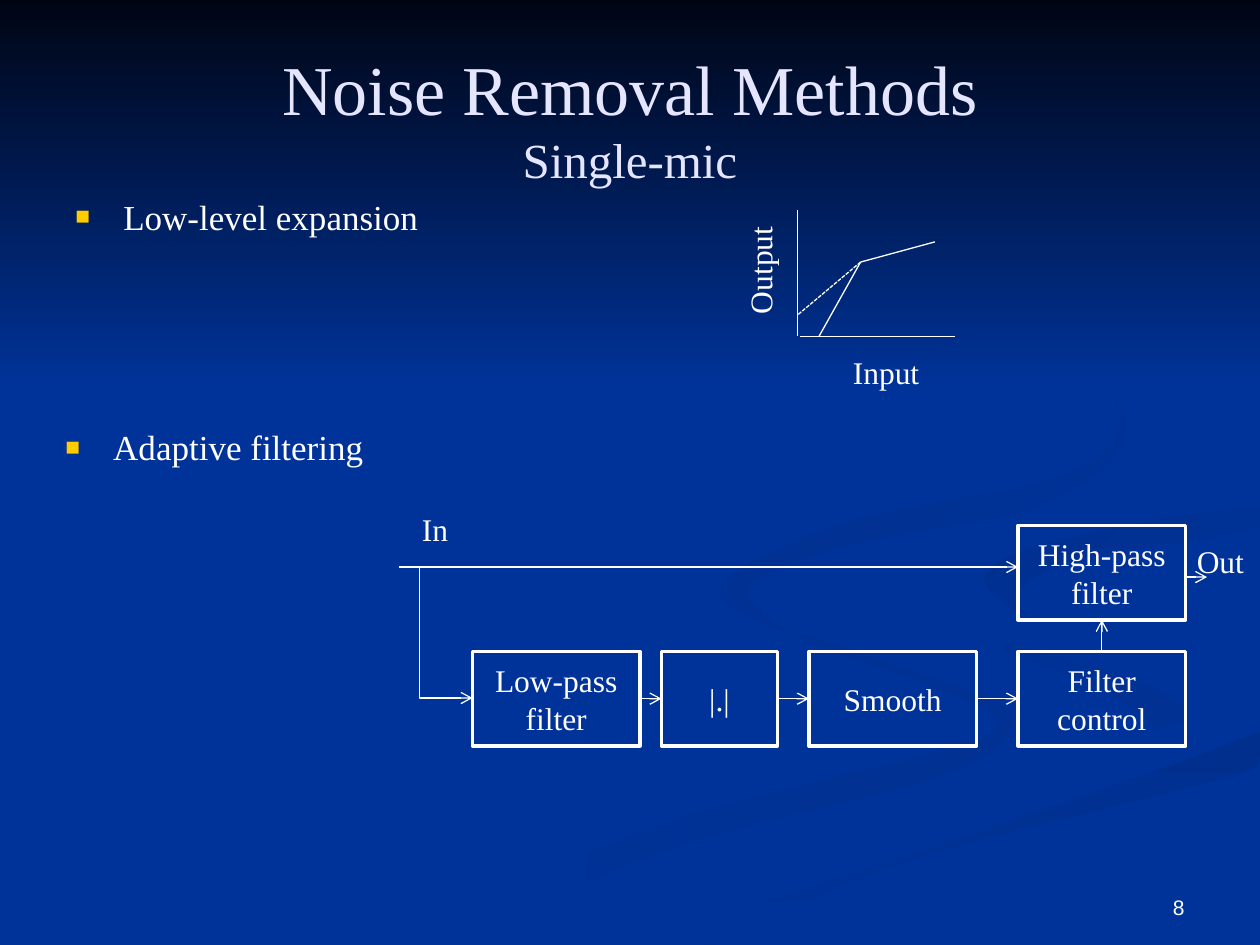
from dataclasses import dataclass

from lxml import etree
from pptx import Presentation
from pptx import util as u
from pptx.dml.color import RGBColor
from pptx.enum import dml, shapes, text
from pptx.oxml.ns import qn

Inches = u.Inches


@dataclass(frozen=True)
class Theme:
    blue: str = "003399"
    shade: str = "002F8E"
    haze: str = "003193"
    night: str = "000514"
    white: str = "FFFFFF"
    lavender: str = "E5E5FF"
    gold: str = "FFCC00"
    serif: str = "Times New Roman"
    sans: str = "Arial"
    title: int = 40
    subtitle: int = 28
    body: int = 20
    label: int = 18
    number: int = 12
    thin: float = 0.75
    frame: float = 2


@dataclass(frozen=True)
class Box:
    left: float
    top: float
    width: float
    height: float

    def inner(self, x, y, width, height):
        return Box(self.left + x, self.top + y, width, height)

    def point(self, x, y):
        return Inches(self.left + x), Inches(self.top + y)

    def frame(self):
        return [Inches(v) for v in (self.left, self.top, self.width, self.height)]


THEME = Theme()

# Each ribbon: gradient start, gradient end, clockwise angle, outline knots in inches.
RIBBONS = [
    (THEME.blue, THEME.haze, 0, [
        (7.81, 5.53), (6.02, 4.9), (5.75, 4.59), (5.76, 4.8), (6.31, 5.05), (7.86, 5.66),
        (7.39, 5.98), (5.39, 6.49), (3, 7.49), (3.61, 7.49), (5.32, 6.74), (7.4, 6.18), (8, 5.81)]),
    (THEME.blue, THEME.haze, 45, [
        (9.43, 5.7), (8.88, 5.35), (7.58, 4.98), (7.24, 4.64), (7.46, 5), (8.68, 5.44),
        (9.18, 5.81), (8.94, 6.05)]),
    (THEME.shade, THEME.blue, 90, [
        (5.03, 7.49), (5.71, 7.49), (7.22, 6.82), (9.98, 6.09), (9.98, 5.81), (7.64, 6.47), (5.99, 7.06)]),
    (THEME.blue, THEME.blue, 0, [
        (7.25, 4.64), (9.05, 5.4), (9.43, 5.7), (6.63, 6.68), (4.77, 7.49), (5.03, 7.49),
        (9.99, 5.81), (9.99, 5.38), (7.81, 4.63), (9.99, 4.02), (9.99, 3.87), (7.88, 4.22)]),
    (THEME.shade, THEME.blue, 45, [
        (7.81, 4.6), (8.26, 4.96), (8.05, 4.72), (8.59, 4.43), (9.98, 4.2), (9.98, 4.02), (8.35, 4.3)]),
    (THEME.shade, THEME.blue, 45, [
        (6.83, 4.3), (8.25, 4.02), (8.94, 3.44), (8.54, 2.83), (7.62, 2.33), (8.62, 2.92),
        (8.89, 3.35), (8.42, 3.78), (6.76, 4.14), (5.77, 4.62), (6.22, 5), (5.94, 4.65)]),
]


def rgb(value):
    return RGBColor.from_string(value)


def add_span(para, words, size, color=THEME.white, font=THEME.serif):
    span = para.add_run()
    span.text = words
    span.font.size, span.font.name = u.Pt(size), font
    span.font.color.rgb = rgb(color)


def add_text(page, box, words, size=THEME.label, wrap=False, align=text.PP_ALIGN.LEFT,
             anchor=text.MSO_ANCHOR.TOP, **style):
    holder = page.shapes.add_textbox(*box.frame())
    holder.text_frame.word_wrap = wrap
    holder.text_frame.vertical_anchor = anchor
    para = holder.text_frame.paragraphs[0]
    para.alignment = align
    add_span(para, words, size, **style)
    return holder


def add_line(page, start, end, arrow=False, kind=shapes.MSO_CONNECTOR.STRAIGHT):
    line = page.shapes.add_connector(kind, *start, *end)
    line.line.color.rgb = rgb(THEME.white)
    line.line.width = u.Pt(THEME.thin)
    if arrow:
        etree.SubElement(line.line._get_or_add_ln(), qn("a:tailEnd"), type="arrow")
    etree.SubElement(line._element.spPr, qn("a:effectLst"))
    return line


def smooth_outline(knots, steps=6):
    """Closed Catmull-Rom curve through the knots."""
    curve = []
    for i in range(len(knots)):
        around = [knots[(i + k) % len(knots)] for k in (-1, 0, 1, 2)]
        for t in (step / steps for step in range(steps)):
            curve.append(tuple(
                b + t * (c - a + t * (2 * a - 5 * b + 4 * c - d + t * (3 * b - a - 3 * c + d))) / 2
                for a, b, c, d in zip(*around)))
    return curve


def paint_gradient(shape, first, last, angle):
    shape.shadow.inherit = False
    shape.line.fill.background()
    shape.fill.gradient()
    shape.fill.gradient_angle = (360 - angle) % 360
    for stop, color in zip(shape.fill.gradient_stops, (first, last)):
        stop.color.rgb = rgb(color)


def draw_backdrop(page, box):
    page.background.fill.solid()
    page.background.fill.fore_color.rgb = rgb(THEME.blue)
    for first, last, angle, knots in RIBBONS:
        points = [box.point(min(x, box.width), min(y, box.height)) for x, y in smooth_outline(knots)]
        builder = page.shapes.build_freeform(*points[0])
        builder.add_line_segments(points[1:], close=True)
        paint_gradient(builder.convert_to_shape(), first, last, angle)
    sky = page.shapes.add_shape(shapes.MSO_SHAPE.RECTANGLE, *box.inner(0, 0, box.width, 3.08).frame())
    paint_gradient(sky, THEME.night, THEME.blue, 90)


def draw_title(page, box):
    holder = add_text(page, box, "Noise Removal Methods", THEME.title, wrap=True, color=THEME.lavender,
                      align=text.PP_ALIGN.CENTER, anchor=text.MSO_ANCHOR.MIDDLE)
    para = holder.text_frame.paragraphs[0]
    para.add_line_break()
    add_span(para, "Single-mic", THEME.subtitle, THEME.lavender)


def draw_bullet(page, box, words):
    holder = add_text(page, box, words, THEME.body, wrap=True)
    para = holder.text_frame.paragraphs[0]
    para.space_before = u.Pt(THEME.body * 0.2)
    props = para._p.get_or_add_pPr()
    props.set("marL", str(Inches(0.38)))
    props.set("indent", str(Inches(-0.38)))
    color = etree.SubElement(props, qn("a:buClr"))
    etree.SubElement(color, qn("a:srgbClr"), val=THEME.gold)
    etree.SubElement(props, qn("a:buSzPct"), val="70000")
    etree.SubElement(props, qn("a:buFont"), typeface=THEME.sans)
    etree.SubElement(props, qn("a:buChar"), char="■")


def draw_expansion_curve(page, box):
    """Input-output plot; the axes fill the box and the labels sit outside it."""
    knee = box.point(0.5, 0.41)
    add_line(page, box.point(0, 0), box.point(0, box.height))
    add_line(page, box.point(box.width, box.height), box.point(0.02, box.height))
    add_text(page, box.inner(0.34, 1.08, 0.75, 0.4), "Input")
    add_text(page, box.inner(-0.76, 0.26, 0.92, 0.4), "Output").rotation = 270
    add_line(page, knee, box.point(0.17, box.height))
    add_line(page, box.point(1.09, 0.25), knee)
    dashed = add_line(page, knee, box.point(0, 0.83))
    dashed.line.dash_style = dml.MSO_LINE.SQUARE_DOT


def add_block(page, box, words):
    block = page.shapes.add_shape(shapes.MSO_SHAPE.RECTANGLE, *box.frame())
    block.shadow.inherit = False
    block.fill.background()
    block.line.color.rgb = rgb(THEME.white)
    block.line.width = u.Pt(THEME.frame)
    block.text_frame.word_wrap = True
    block.text_frame.vertical_anchor = text.MSO_ANCHOR.MIDDLE
    para = block.text_frame.paragraphs[0]
    para.alignment = text.PP_ALIGN.CENTER
    add_span(para, words, THEME.label)
    return block


def join(page, start, start_side, end, end_side):
    arrow = add_line(page, (0, 0), (0, 0), arrow=True)
    arrow.begin_connect(start, start_side)
    arrow.end_connect(end, end_side)


def draw_filter_diagram(page, box):
    stages = [("Low-pass filter", 0.58, 1.33), ("|.|", 2.08, 0.92),
              ("Smooth", 3.25, 1.33), ("Filter control", 4.91, 1.33)]
    row = [add_block(page, box.inner(x, 1.17, width, 0.75), words) for words, x, width in stages]
    high_pass = add_block(page, box.inner(4.91, 0.17, 1.33, 0.75), "High-pass filter")

    add_line(page, box.point(0, 0.5), box.point(4.91, 0.5), arrow=True)
    for before, after in zip(row, row[1:]):
        join(page, before, 3, after, 1)
    join(page, row[-1], 0, high_pass, 2)

    # One-bend branch: a mirrored elbow turned so that it runs down, then right.
    branch = add_line(page, box.point(0.89, 0.81), box.point(-0.15, 1.23), True, shapes.MSO_CONNECTOR.ELBOW)
    branch._element.spPr.find(qn("a:xfrm")).set("rot", str(270 * 60000))
    branch._element.spPr.find(qn("a:prstGeom")).set("prst", "bentConnector2")

    add_text(page, box.inner(0.08, 0, 0.42, 0.4), "In")
    add_text(page, box.inner(6.23, 0.25, 0.6, 0.4), "Out")
    add_line(page, box.point(6.25, 0.58), box.point(6.41, 0.58), arrow=True)


def main():
    deck = Presentation()
    deck.slide_width, deck.slide_height = Inches(10), Inches(7.5)
    page = deck.slides.add_slide(deck.slide_layouts[6])
    draw_backdrop(page, Box(0, 0, 10, 7.5))
    add_text(page, Box(7.17, 6.83, 2.33, 0.52), "8", THEME.number, wrap=True, font=THEME.sans,
             align=text.PP_ALIGN.RIGHT, anchor=text.MSO_ANCHOR.BOTTOM)
    draw_title(page, Box(0.5, 0.3, 9, 1.25))
    draw_bullet(page, Box(0.5, 1.5, 3.75, 0.67), "Low-level expansion")
    draw_bullet(page, Box(0.42, 3.33, 3.75, 0.67), "Adaptive filtering")
    draw_expansion_curve(page, Box(6.33, 1.67, 1.25, 1))
    draw_filter_diagram(page, Box(3.17, 4, 6.83, 1.92))
    deck.save("out.pptx")


if __name__ == "__main__":
    main()
